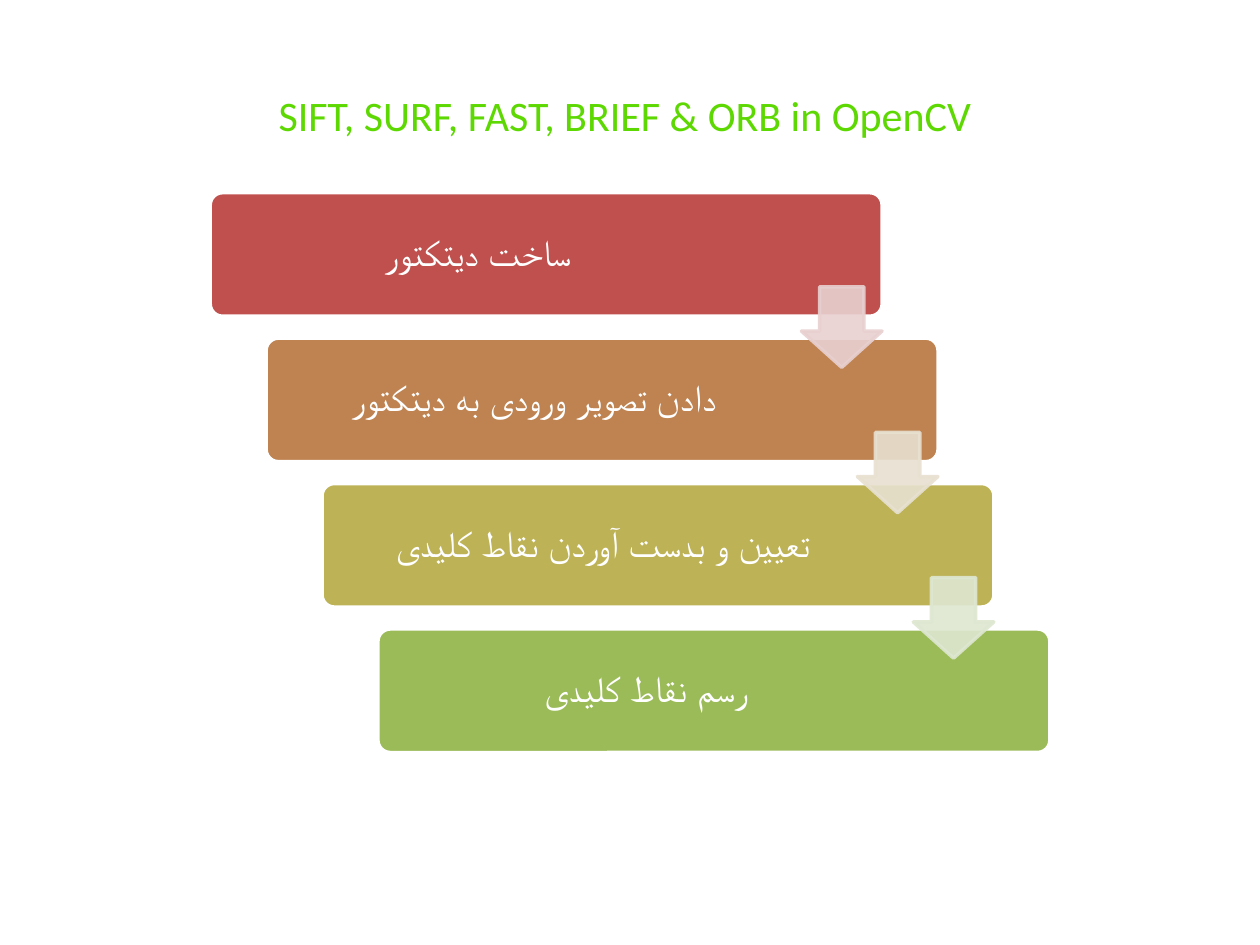
from lxml.etree import SubElement
from pptx import Presentation
from pptx.dml.color import RGBColor
from pptx.enum.shapes import MSO_SHAPE as Shape
from pptx.enum.text import MSO_ANCHOR as Anchor, MSO_AUTO_SIZE as AutoSize, PP_ALIGN as Align
from pptx.oxml.ns import qn
from pptx.util import Pt

# Content: step text, box colour, colour of the arrow to the next step
TITLE = "SIFT, SURF, FAST, BRIEF & ORB in OpenCV"
STEPS = [
    ("ساخت دیتکتور", RGBColor(0xC0, 0x50, 0x4D), RGBColor(0xE8, 0xD0, 0xD0)),
    ("دادن تصویر ورودی به دیتکتور", RGBColor(0xBE, 0x83, 0x51), RGBColor(0xE8, 0xE1, 0xD1)),
    ("تعیین و بدست آوردن نقاط کلیدی\t", RGBColor(0xBD, 0xB2, 0x55), RGBColor(0xDE, 0xE7, 0xD1)),
    ("رسم نقاط کلیدی", RGBColor(0x9B, 0xBB, 0x59), None),
]
WHITE = RGBColor(0xFF, 0xFF, 0xFF)
GREEN = RGBColor(0x5E, 0xD8, 0x02)
TITLE_FONT = {"name": "Calibri", "size": Pt(24)}
STEP_FONT = {"name": "Arial", "size": Pt(21)}

# Layout in points
LEFT, TOP = 120.1, 110.1
STEP_X, STEP_Y = 31.95, 83.1
BOX_W, BOX_H = 384, 70.6
LABEL_W, LABEL_INSET, LABEL_MARGIN = 302, 2.1, 6.5
ARROW = 46
ARROW_DX, ARROW_DY = 337.9, 53.8

deck = Presentation()
deck.slide_width, deck.slide_height = Pt(720), Pt(540)
page = deck.slides.add_slide(deck.slide_layouts[6])


def add_shape(kind, place, adjustments, fill, line, opacity=None):
    shape = page.shapes.add_shape(kind, *map(Pt, place))
    shape.shadow.inherit = False
    for index, value in enumerate(adjustments):
        shape.adjustments[index] = value
    shape.fill.solid()
    shape.fill.fore_color.rgb = fill
    shape.line.color.rgb = line
    shape.line.width = Pt(2)
    if opacity:
        for color in shape._element.spPr.iter(qn("a:srgbClr")):
            SubElement(color, qn("a:alpha"), val=str(opacity * 1000))


def add_text(text, place, font, color, margin=None):
    box = page.shapes.add_textbox(*map(Pt, place))
    frame = box.text_frame
    frame.word_wrap = True
    para = frame.paragraphs[0]
    para.alignment = Align.CENTER
    para._p.get_or_add_pPr().set("rtl", "1")
    span = para.add_run()
    span.text = text
    for name, value in font.items():
        setattr(span.font, name, value)
    span.font.color.rgb = color
    SubElement(span._r.get_or_add_rPr(), qn("a:cs"), typeface=font["name"])
    if margin is None:
        frame.auto_size = AutoSize.SHAPE_TO_FIT_TEXT
    else:
        frame.vertical_anchor = Anchor.MIDDLE
        para.line_spacing = 0.9
        for side in ("left", "top", "right", "bottom"):
            setattr(frame, f"margin_{side}", Pt(margin))


# Title
add_text(TITLE, (36.7, 47.5, 640.8, 36), TITLE_FONT, GREEN)

# Staircase of steps
for index, (text, color, _) in enumerate(STEPS):
    x, y = LEFT + index * STEP_X, TOP + index * STEP_Y
    add_shape(Shape.ROUNDED_RECTANGLE, (x, y, BOX_W, BOX_H), [0.1], color, WHITE)
    add_text(text, (x + LABEL_INSET, y + LABEL_INSET, LABEL_W, BOX_H - 2 * LABEL_INSET),
             STEP_FONT, WHITE, LABEL_MARGIN)

# Arrows on top, each leading to the next step
for index, (_, _, tint) in enumerate(STEPS[:-1]):
    x, y = LEFT + index * STEP_X + ARROW_DX, TOP + index * STEP_Y + ARROW_DY
    add_shape(Shape.DOWN_ARROW, (x, y, ARROW, ARROW), [0.55, 0.45], tint, tint, 90)

# Adjustment order of the arrow is shaft width, then head length
deck.save("out.pptx")
